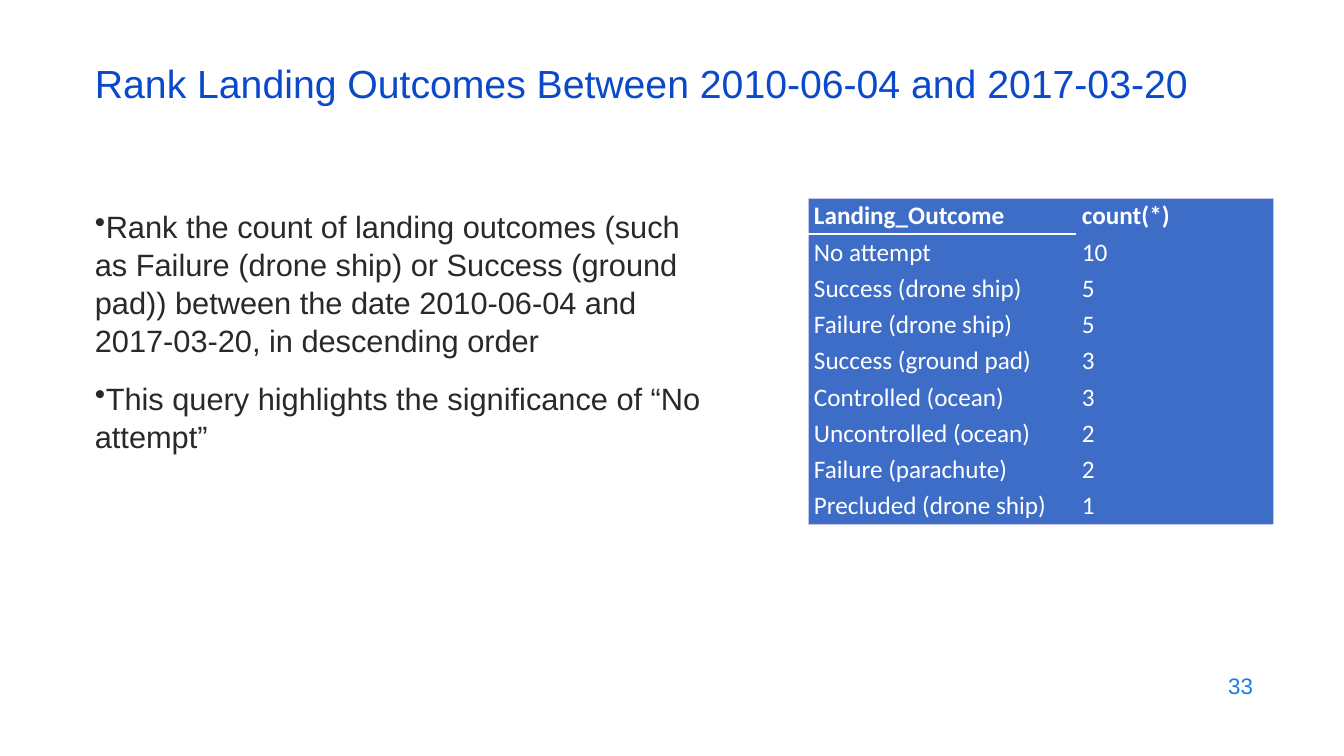
from lxml import etree
from pptx import Presentation
from pptx import util as u
from pptx.dml.color import RGBColor
from pptx.enum import text
from pptx.oxml import ns

PX = 914400 / 100.8
TITLE_BLUE = RGBColor(0x0B, 0x49, 0xCB)
NUMBER_BLUE = RGBColor(0x1C, 0x7D, 0xDB)
INK = RGBColor(0x29, 0x29, 0x29)
WHITE = RGBColor(0xFF, 0xFF, 0xFF)
CELL_BLUE = RGBColor(0x3E, 0x6D, 0xC8)
EDGE = RGBColor(0xC1, 0xC9, 0xE4)
NO_STYLE = "{2D5ABB26-0587-4C30-8999-92F81FD0307C}"

TITLE = "Rank Landing Outcomes Between 2010-06-04 and 2017-03-20"
POINTS = [
    "Rank the count of landing outcomes (such as Failure (drone ship) or Success "
    "(ground pad)) between the date 2010-06-04 and 2017-03-20, in descending order",
    "This query highlights the significance of “No attempt”",
]
OUTCOMES = [
    ("Landing_Outcome", "count(*)"),
    ("No attempt", "10"),
    ("Success (drone ship)", "5"),
    ("Failure (drone ship)", "5"),
    ("Success (ground pad)", "3"),
    ("Controlled (ocean)", "3"),
    ("Uncontrolled (ocean)", "2"),
    ("Failure (parachute)", "2"),
    ("Precluded (drone ship)", "1"),
]


def px(length):
    return u.Emu(round(length * PX))


def write(frame, lines, size, color, font="Arial", bold=False, bullet=False,
          align=text.PP_ALIGN.LEFT, spacing=None, before=0):
    """Fill a text frame with one paragraph per line."""
    for index, line in enumerate(lines):
        paragraph = frame.paragraphs[0] if index == 0 else frame.add_paragraph()
        paragraph.alignment = align
        if bullet:
            properties = paragraph._p.get_or_add_pPr()
            properties.set("marL", "0")
            properties.set("indent", "0")
            etree.SubElement(properties, ns.qn("a:buChar"), char="•")
        if spacing:
            paragraph.line_spacing = spacing
        if index:
            paragraph.space_before = u.Pt(before)
        run = paragraph.add_run()
        run.text = line
        run.font.name = font
        run.font.size = u.Pt(size)
        run.font.bold = bold
        run.font.color.rgb = color


def add_text(slide, box, lines, anchor=text.MSO_ANCHOR.MIDDLE, **formatting):
    shape = slide.shapes.add_textbox(*map(px, box))
    frame = shape.text_frame
    frame.word_wrap = True
    frame.vertical_anchor = anchor
    write(frame, lines, **formatting)


def add_border(cell, side, color, width):
    line = etree.SubElement(cell._tc.get_or_add_tcPr(), ns.qn(f"a:ln{side}"),
                            w=str(u.Pt(width)))
    fill = etree.SubElement(line, ns.qn("a:solidFill"))
    etree.SubElement(fill, ns.qn("a:srgbClr"), val=str(color))


def add_outcome_table(slide, left, top, column_widths, row_height):
    rows, columns = len(OUTCOMES), len(column_widths)
    frame = slide.shapes.add_table(
        rows, columns, px(left), px(top), px(sum(column_widths)), px(row_height * rows))
    table = frame.table
    table.first_row = table.horz_banding = False
    table._tbl.tblPr.find(ns.qn("a:tableStyleId")).text = NO_STYLE
    for column, width in zip(table.columns, column_widths):
        column.width = px(width)
    for r, values in enumerate(OUTCOMES):
        table.rows[r].height = px(row_height)
        for c, value in enumerate(values):
            cell = table.cell(r, c)
            cell.margin_left = cell.margin_right = px(6)
            cell.margin_top = cell.margin_bottom = px(3)
            cell.vertical_anchor = text.MSO_ANCHOR.MIDDLE
            write(cell.text_frame, [value], 18, WHITE, font="Calibri", bold=r == 0)
            outer_sides = {"L": c == 0, "R": c == columns - 1,
                           "T": r == 0, "B": r == rows - 1}
            for side, is_outer in outer_sides.items():
                if is_outer:
                    add_border(cell, side, EDGE, 0.5)
            if r == c == 0:
                add_border(cell, "B", WHITE, 1.5)
            cell.fill.solid()
            cell.fill.fore_color.rgb = CELL_BLUE


def build_slide(presentation):
    slide = presentation.slides.add_slide(presentation.slide_layouts[6])
    add_text(slide, (961, 664, 302, 44), ["33"], size=16, color=NUMBER_BLUE,
             align=text.PP_ALIGN.RIGHT)
    add_text(slide, (85, 202, 644, 480), POINTS, anchor=text.MSO_ANCHOR.TOP,
             size=22, color=INK, bullet=True, spacing=1.03, before=14)
    add_text(slide, (85, 59, 1159, 60), [TITLE], size=28, color=TITLE_BLUE, spacing=0.7)
    add_outcome_table(slide, 808, 198, (268, 197), 36)


def main():
    presentation = Presentation()
    presentation.slide_width = px(1344)
    presentation.slide_height = px(756)
    build_slide(presentation)
    presentation.save("out.pptx")


if __name__ == "__main__":
    main()
